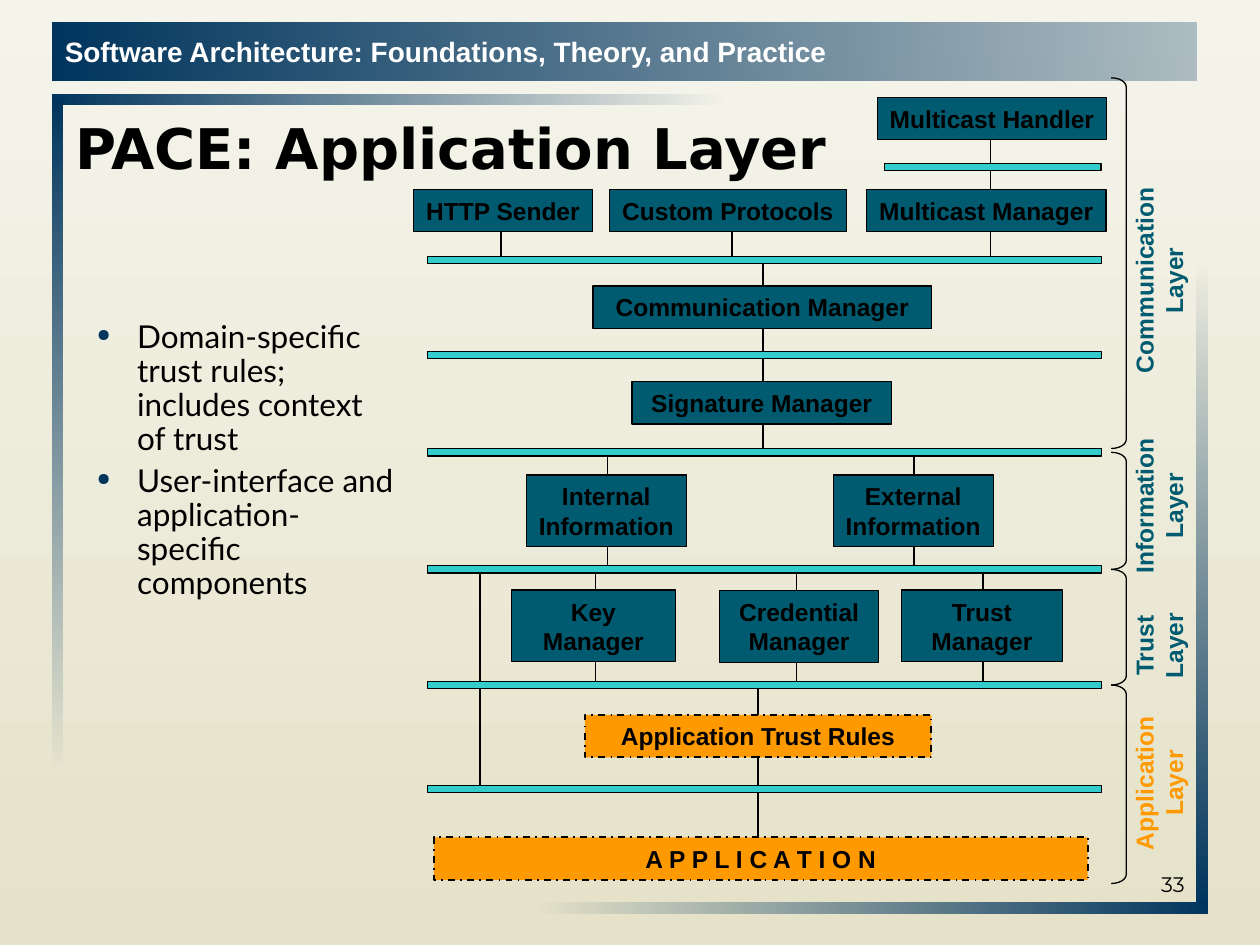
from lxml.etree import SubElement
from pptx import Presentation
from pptx.dml.color import RGBColor
from pptx.enum.dml import MSO_LINE_DASH_STYLE as Dash
from pptx.enum.shapes import MSO_CONNECTOR as Link, MSO_SHAPE as Shape
from pptx.enum.text import MSO_ANCHOR as Anchor, PP_ALIGN as Align
from pptx.oxml.ns import qn
from pptx.util import Pt

NAVY, TEAL, ORANGE, AQUA = "00355E", "005B70", "FF9900", "33CCCC"
BLACK, WHITE = "000000", "FFFFFF"

HEADER = "Software Architecture: Foundations, Theory, and Practice"
TITLE = "PACE: Application Layer"
BULLETS = [
    "Domain-specific trust rules; includes context of trust",
    "User-interface and application-specific components",
]
# left, top, width, height, angle, start opacity, end opacity
FRAME = [
    (30, 54, 384, 6, 0, 100, 0),
    (30, 13, 654, 33, 0, 100, 29),
    (30, 57, 6, 384, 270, 100, 0),
    (306, 516, 384, 6, 0, 0, 100),
    (684, 150, 6, 366, 270, 0, 100),
]
BUSES = {"protocol": 148.5, "signature": 203, "information": 258.5,
         "trust": 325.4, "rules": 391.5, "application": 451}
BUS_LEFT, BUS_WIDTH, BUS_HEIGHT = 244.2, 385.2, 4.2
SHORT_BUS = (505.5, 95.6, 123.7)
COMPONENTS = [
    ("Communication Manager", 338.8, 163.4, 193.7),
    ("External\nInformation", 476.2, 271.4, 91.4),
    ("Internal\nInformation", 300.8, 271.4, 91.4),
    ("Key\nManager", 292.3, 337.2, 93.6),
    ("Signature Manager", 361.2, 218, 148.3),
    ("Trust\nManager", 515, 337.2, 92.3),
    ("HTTP Sender", 236.2, 108.2, 102.5),
    ("Custom Protocols", 348.3, 108.2, 135.4),
    ("Multicast Manager", 495.2, 108.2, 136.8),
    ("Multicast Handler", 501.3, 55.6, 131.2),
    ("Credential\nManager", 411.2, 337.5, 91),
]
APPLICATION_PARTS = [
    ("Application Trust Rules", 334.2, 408.5, 198),
    ("A P P L I C A T I O N", 247.9, 478.5, 373.7),
]
LINKS = [
    (274.3, "trust", "application"),
    (347.2, "information", "trust"), (522.5, "information", "trust"),
    (340.3, "trust", "rules"), (455.2, "trust", "rules"), (561.7, "trust", "rules"),
    (433, "rules", 492.5), (436.2, "protocol", "information"),
    (286.4, 122.4, "protocol"), (418.3, 122.4, "protocol"), (566, 69, "protocol"),
]
# name, colour, label centre, bracket top, bracket bottom
LAYERS = [
    ("Communication", TEAL, 160.2, 44.5, 256.3),
    ("Information", TEAL, 289, 258.5, 325.4),
    ("Trust", TEAL, 369, 325.4, 391.5),
    ("Application", ORANGE, 447.5, 391.5, 504.9),
]
LABEL_CENTRE, LABEL_WIDTH, LABEL_HEIGHT = 662.2, 134, 41


def colour(code):
    return RGBColor.from_string(code)


def write(shape, text, size, font, code, bold=False, align=Align.LEFT,
          anchor=Anchor.MIDDLE, wrap=True):
    frame = shape.text_frame
    frame.text = text
    frame.word_wrap = wrap
    frame.vertical_anchor = anchor
    for para in frame.paragraphs:
        para.alignment = align
        for span in para.runs:
            span.font.size = Pt(size)
            span.font.name = font
            span.font.bold = bold
            span.font.color.rgb = colour(code)


def add_text(page, place, *style, **options):
    box = page.shapes.add_textbox(*map(Pt, place))
    write(box, *style, **options)
    return box


def add_box(page, place, code=None, kind=Shape.RECTANGLE, width=0.75):
    box = page.shapes.add_shape(kind, *map(Pt, place))
    box.shadow.inherit = False
    if code:
        box.fill.solid()
        box.fill.fore_color.rgb = colour(code)
    else:
        box.fill.background()
    box.line.color.rgb = colour(BLACK)
    box.line.width = Pt(width)
    return box


def add_gradient(fill, angle, codes):
    fill.gradient()
    fill.gradient_angle = angle
    for stop, code in zip(fill.gradient_stops, codes):
        stop.color.rgb = colour(code)


def add_fade(page, left, top, width, height, angle, *opacities):
    bar = add_box(page, (left, top, width, height))
    bar.line.fill.background()
    add_gradient(bar.fill, angle, (NAVY, NAVY))
    for tint, opacity in zip(bar.element.spPr.iter(qn("a:srgbClr")), opacities):
        SubElement(tint, qn("a:alpha")).set("val", str(opacity * 1000))
    return bar


def add_link(page, x, start, end):
    top, bottom = (BUSES.get(stop, stop) for stop in (start, end))
    link = page.shapes.add_connector(Link.STRAIGHT, Pt(x), Pt(top), Pt(x), Pt(bottom))
    link.line.color.rgb = colour(BLACK)
    link.line.width = Pt(1)
    SubElement(link.element.spPr, qn("a:effectLst"))


def add_component(page, text, left, top, width, code, dashed=False):
    height = 41 if "\n" in text else 24.3
    box = add_box(page, (left, top, width, height), code, width=1 if dashed else 0.75)
    if dashed:
        box.line.dash_style = Dash.DASH_DOT
    write(box, text, 14, "Arial", BLACK, bold=True, align=Align.CENTER, wrap=False)


def add_bullets(page):
    body = add_text(page, (36, 180, 198, 186), "\n".join(BULLETS), 18, "Lato",
                    BLACK, anchor=Anchor.TOP)
    for index, para in enumerate(body.text_frame.paragraphs):
        para.line_spacing = 0.9
        if index:
            para.space_before = Pt(4.5)
        props = para._p.get_or_add_pPr()
        props.set("marL", str(Pt(35.3)))
        props.set("indent", str(-Pt(23)))
        tint = SubElement(props, qn("a:buClr"))
        SubElement(tint, qn("a:srgbClr")).set("val", NAVY)
        SubElement(props, qn("a:buSzPct")).set("val", "55000")
        SubElement(props, qn("a:buChar")).set("char", "●")


def add_layer(page, name, code, centre, top, bottom):
    bracket = add_box(page, (635, top, 8.6, bottom - top), kind=Shape.RIGHT_BRACKET)
    bracket.adjustments[0] = 0.6
    place = (LABEL_CENTRE - LABEL_WIDTH / 2, centre - LABEL_HEIGHT / 2,
             LABEL_WIDTH, LABEL_HEIGHT)
    label = add_text(page, place, name + "\nLayer", 14, "Arial", code, bold=True,
                     align=Align.CENTER, anchor=Anchor.TOP)
    label.rotation = 270


def main():
    """Build the application layer slide and save it."""
    deck = Presentation()
    deck.slide_width, deck.slide_height = Pt(720), Pt(540)
    page = deck.slides.add_slide(deck.slide_layouts[6])
    add_gradient(page.background.fill, 270, ("F5F4EB", "E5E2C9"))

    bars = [add_fade(page, *bar) for bar in FRAME]
    write(bars[1], HEADER, 16, "Arial", WHITE, bold=True)
    add_text(page, (36, 48, 648, 72), TITLE, 32, "DejaVu Sans", BLACK, bold=True)
    add_text(page, (516, 480, 168, 36), "33", 12, "Montserrat", BLACK,
             align=Align.RIGHT, anchor=Anchor.BOTTOM)
    add_bullets(page)

    for layer in LAYERS:
        add_layer(page, *layer)
    for link in LINKS:
        add_link(page, *link)
    for component in COMPONENTS:
        add_component(page, *component, TEAL)
    for part in APPLICATION_PARTS:
        add_component(page, *part, ORANGE, dashed=True)
    buses = [(BUS_LEFT, centre, BUS_WIDTH) for centre in BUSES.values()]
    for left, centre, width in buses + [SHORT_BUS]:
        add_box(page, (left, centre - BUS_HEIGHT / 2, width, BUS_HEIGHT), AQUA)

    deck.save("out.pptx")


if __name__ == "__main__":
    main()
